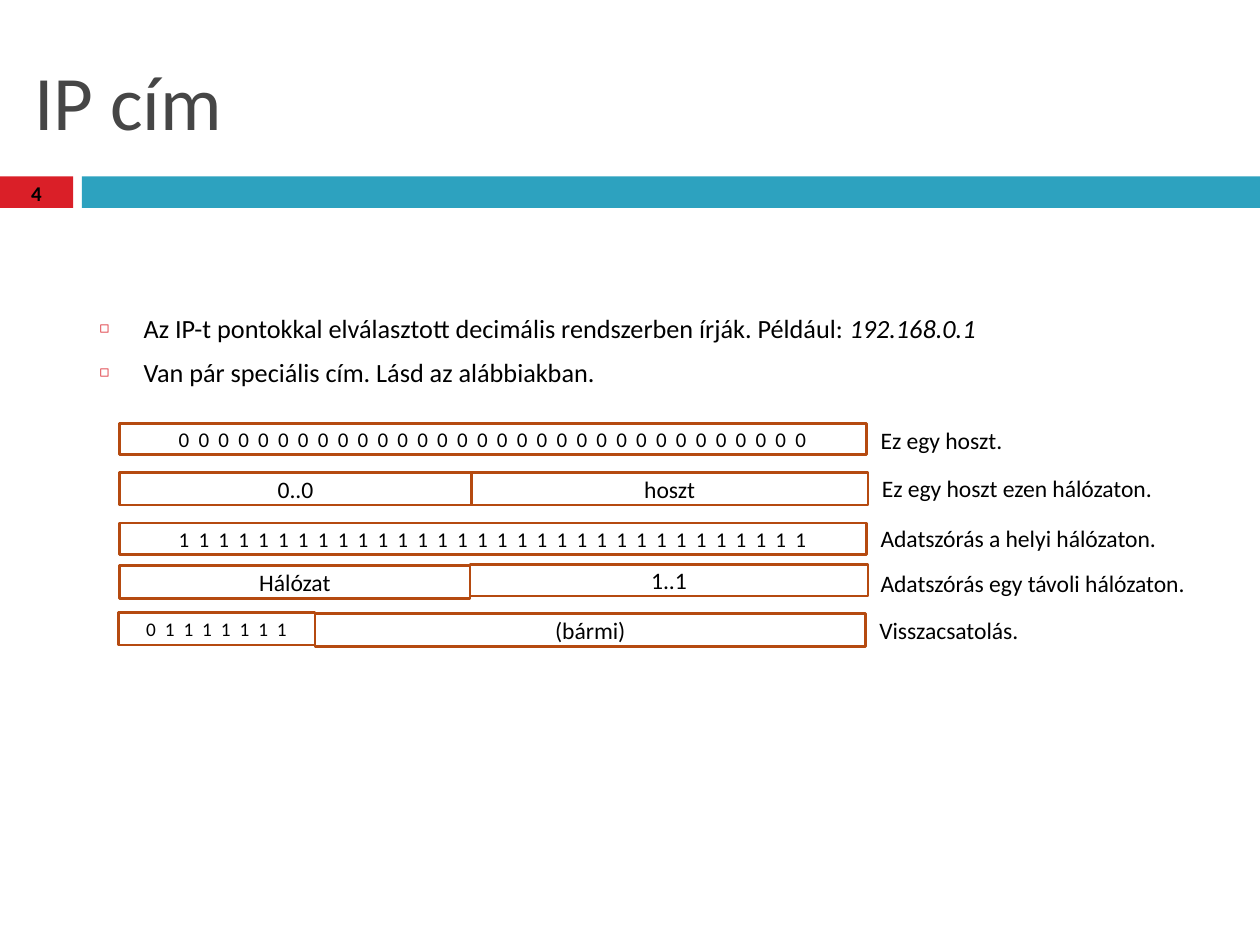
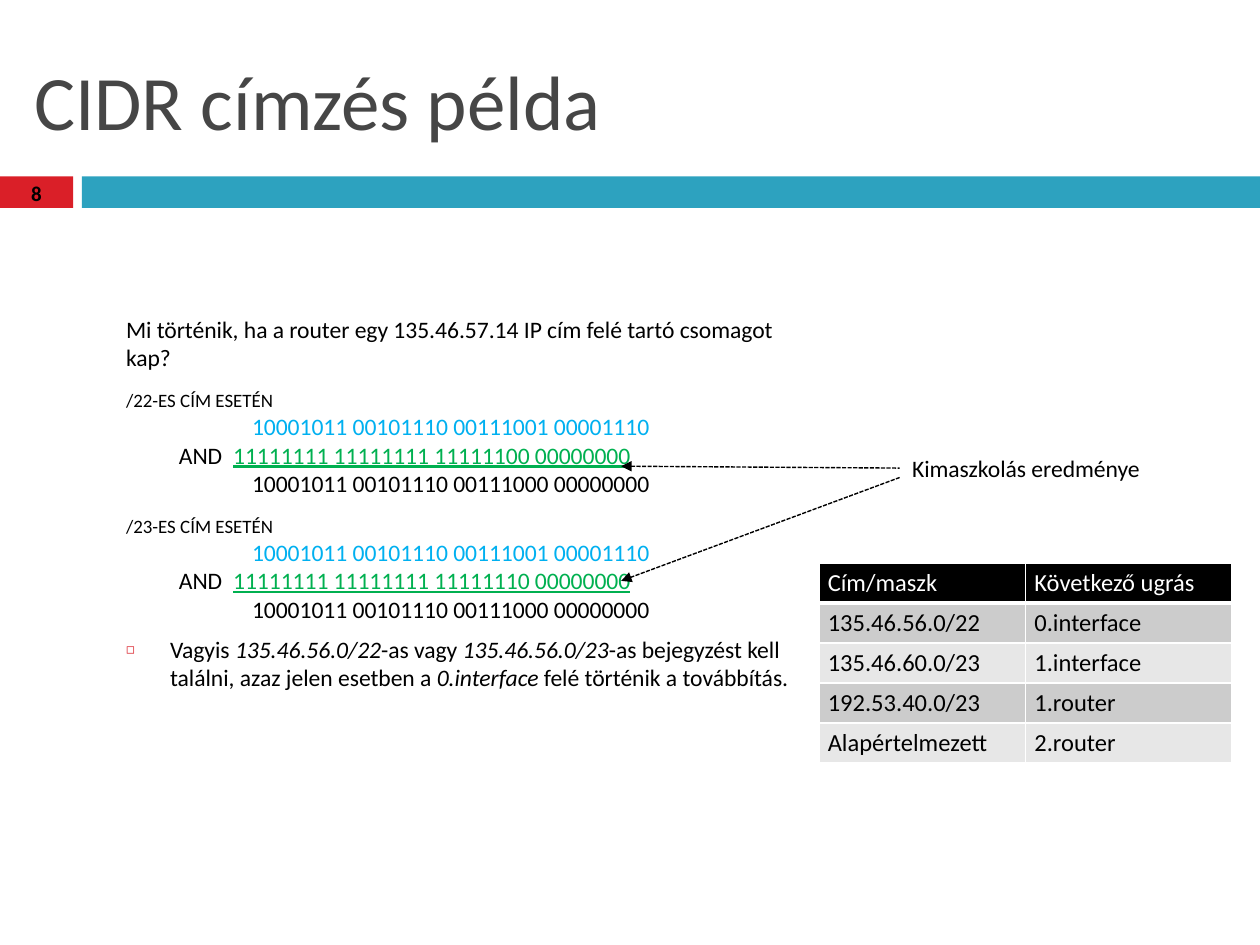
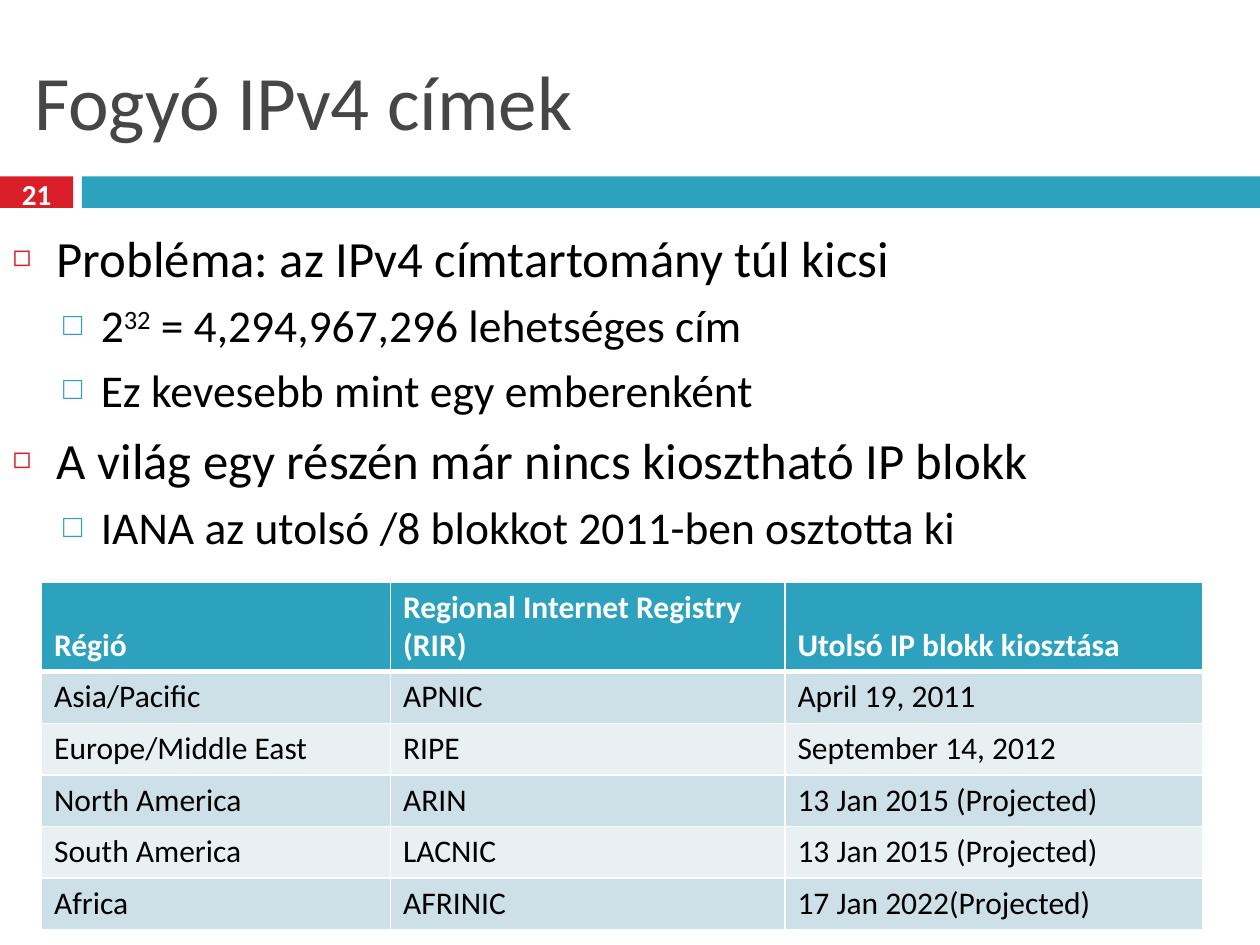
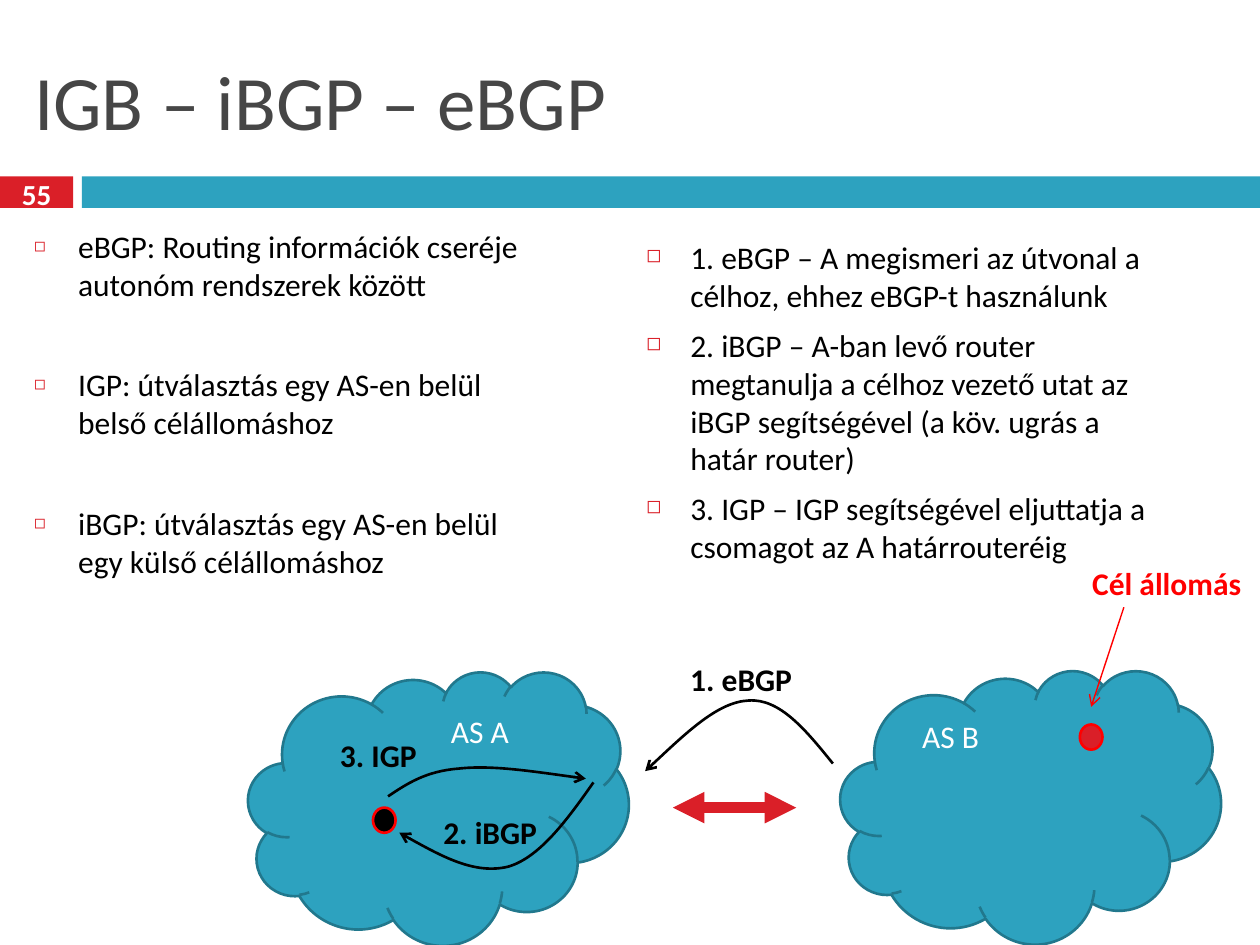
from dataclasses import dataclass
from typing import NamedTuple, Optional

from lxml import etree
from pptx import Presentation
from pptx import util as u
from pptx.dml.color import RGBColor
from pptx.enum import dml, shapes, text
from pptx.oxml.ns import qn

FONT = "Calibri"
COLORS = {
    "black": "000000", "white": "FFFFFF", "title": "464646",
    "red": "DA1F28", "teal": "2DA2BF", "teal_edge": "21788D",
    "rust": "B54A10", "signal": "FF0000", "sky": "00B0F0", "green": "00B050",
    "grey_dark": "CCCCCC", "grey_light": "E7E7E7",
    "blue_dark": "CDE0E8", "blue_light": "E8F0F4",
}
LABEL_SIZE = 13.5
LEFT, CENTER = text.PP_ALIGN.LEFT, text.PP_ALIGN.CENTER
TOP, MIDDLE, BOTTOM = (text.MSO_ANCHOR.TOP, text.MSO_ANCHOR.MIDDLE,
                       text.MSO_ANCHOR.BOTTOM)
SHAPE = shapes.MSO_SHAPE


class Area(NamedTuple):
    left: float
    top: float
    width: float
    height: float

    def lengths(self) -> list:
        return [u.Inches(value) for value in self]


class Bullet(NamedTuple):
    char: str
    color: str
    percent: int


class Span(NamedTuple):
    words: str
    size: float = 18
    color: str = "black"
    bold: bool = False
    italic: bool = False
    underline: bool = False
    extras: tuple = ()  # further run attributes as (name, value) pairs


@dataclass
class Line:
    spans: list
    before: float = 0
    left: float = 0
    indent: float = 0
    level: int = 0
    bullet: Optional[Bullet] = None
    align: int = LEFT


@dataclass
class Grid:
    area: Area
    columns: list
    row_heights: list
    rows: list
    size: float
    head_fill: str
    bands: tuple
    head_bold: bool = False
    head_anchor: int = TOP
    margins: tuple = (0.1, 0.05)


OUTER = Bullet("◻", "red", 60)
INNER = Bullet("□", "teal", 70)


def rgb(name: str) -> RGBColor:
    return RGBColor.from_string(COLORS[name])


# Text
def item(*spans: Span, before: float = 7) -> Line:
    return Line(list(spans), before, 0.35, -0.35, bullet=OUTER)


def subitem(*spans: Span) -> Line:
    return Line(list(spans), 5.5, 0.7, -0.3, level=1, bullet=INNER)


def add_bullet(props, bullet: Optional[Bullet]) -> None:
    if bullet is None:
        etree.SubElement(props, qn("a:buNone"))
        return
    color = etree.SubElement(props, qn("a:buClr"))
    etree.SubElement(color, qn("a:srgbClr"), val=COLORS[bullet.color])
    etree.SubElement(props, qn("a:buSzPct"), val=str(bullet.percent * 1000))
    etree.SubElement(props, qn("a:buChar"), char=bullet.char)


def write(frame, lines: list) -> None:
    for number, line in enumerate(lines):
        para = frame.paragraphs[0] if number == 0 else frame.add_paragraph()
        para.alignment = line.align
        para.level = line.level
        para.space_before = u.Pt(line.before)
        props = para._p.get_or_add_pPr()
        props.set("marL", str(u.Inches(line.left)))
        props.set("indent", str(u.Inches(line.indent)))
        add_bullet(props, line.bullet)
        for part in line.spans:
            span = para.add_run()
            span.text = part.words
            font = span.font
            font.name, font.size = FONT, u.Pt(part.size)
            font.bold, font.italic = part.bold, part.italic
            font.underline = part.underline
            font.color.rgb = rgb(part.color)
            for name, value in part.extras:
                span._r.get_or_add_rPr().set(name, value)


def set_frame(frame, anchor: int = TOP, wrap: bool = True,
              grow: bool = False) -> None:
    frame.word_wrap = wrap
    frame.vertical_anchor = anchor
    frame.auto_size = (text.MSO_AUTO_SIZE.SHAPE_TO_FIT_TEXT if grow
                       else text.MSO_AUTO_SIZE.NONE)


def add_text(page, area: Area, lines: list, anchor: int = TOP,
             wrap: bool = True, grow: bool = False):
    box = page.shapes.add_textbox(*area.lengths())
    set_frame(box.text_frame, anchor, wrap, grow)
    write(box.text_frame, lines)
    return box


def add_label(page, left: float, top: float, width: float, words: str):
    span = Span(words, LABEL_SIZE)
    return add_text(page, Area(left, top, width, 0.33), [Line([span])],
                    wrap=False, grow=True)


def fill_placeholder(holder, area: Area, lines: list, anchor: int) -> None:
    holder.left, holder.top, holder.width, holder.height = area.lengths()
    set_frame(holder.text_frame, anchor)
    write(holder.text_frame, lines)


# Shapes and lines
def add_shape(page, kind: int, area: Area, fill: Optional[str] = None,
              edge: Optional[str] = None):
    shape = page.shapes.add_shape(kind, *area.lengths())
    shape.shadow.inherit = False
    if fill:
        shape.fill.solid()
        shape.fill.fore_color.rgb = rgb(fill)
    else:
        shape.fill.background()
    if edge:
        shape.line.color.rgb = rgb(edge)
        shape.line.width = u.Pt(1.5)
    else:
        shape.line.fill.background()
    return shape


def add_ends(line, head: Optional[str], tail: Optional[str]) -> None:
    for tag, kind in (("a:headEnd", head), ("a:tailEnd", tail)):
        if kind:
            etree.SubElement(line._get_or_add_ln(), qn(tag), type=kind)


def add_line(page, start: tuple, end: tuple, color: str, width: float,
             head: Optional[str] = None, tail: Optional[str] = None,
             dashed: bool = False):
    points = [u.Inches(value) for value in start + end]
    line = page.shapes.add_connector(shapes.MSO_CONNECTOR.STRAIGHT, *points)
    line.line.color.rgb = rgb(color)
    line.line.width = u.Pt(width)
    if dashed:
        line.line.dash_style = dml.MSO_LINE.SQUARE_DOT
    add_ends(line.line, head, tail)
    etree.SubElement(line._element.spPr, qn("a:effectLst"))
    return line


def add_curve(page, points: list) -> None:
    """Draw cubic curves: a start, then two controls and an end for each."""
    start, *rest = [(u.Inches(x), u.Inches(y)) for x, y in points]
    builder = page.shapes.build_freeform(*start)
    builder.add_line_segments(rest, close=False)
    curve = builder.convert_to_shape()
    steps = list(curve._element.iter(qn("a:lnTo")))
    outline = steps[0].getparent()
    for first in range(0, len(steps), 3):
        bend = etree.SubElement(outline, qn("a:cubicBezTo"))
        for step in steps[first:first + 3]:
            bend.append(step[0])
            outline.remove(step)
    curve.shadow.inherit = False
    curve.fill.background()
    curve.line.color.rgb = rgb("black")
    curve.line.width = u.Pt(1.5)
    add_ends(curve.line, None, "arrow")


# Tables
def add_borders(cell, bottom: float) -> None:
    props = cell._tc.get_or_add_tcPr()
    widths = {"a:lnL": 1, "a:lnR": 1, "a:lnT": 1, "a:lnB": bottom}
    for place, (tag, width) in enumerate(widths.items()):
        edge = etree.Element(qn(tag), w=str(u.Pt(width)))
        paint = etree.SubElement(edge, qn("a:solidFill"))
        etree.SubElement(paint, qn("a:srgbClr"), val=COLORS["white"])
        props.insert(place, edge)


def add_grid(page, grid: Grid) -> None:
    frame = page.shapes.add_table(len(grid.rows), len(grid.columns),
                                  *grid.area.lengths())
    table = frame.table
    for column, width in zip(table.columns, grid.columns):
        column.width = u.Inches(width)
    for row, height in zip(table.rows, grid.row_heights):
        row.height = u.Inches(height)
    side, edge = (u.Inches(value) for value in grid.margins)
    for r, row in enumerate(grid.rows):
        head = r == 0
        for c, words in enumerate(row):
            cell = table.cell(r, c)
            cell.margin_left = cell.margin_right = side
            cell.margin_top = cell.margin_bottom = edge
            cell.vertical_anchor = grid.head_anchor if head else TOP
            cell.fill.solid()
            cell.fill.fore_color.rgb = rgb(
                grid.head_fill if head else grid.bands[(r - 1) % 2])
            add_borders(cell, 3 if head else 1)
            write(cell.text_frame, [Line([Span(
                words, grid.size, "white" if head else "black",
                head and grid.head_bold)])])


# Shared page parts
def add_bands(deck, layout) -> None:
    """Put the two bands on the layout, behind its placeholders."""
    page = deck.slides[0]
    bands = [add_shape(page, SHAPE.RECTANGLE, Area(0, 1.4, 0.58, 0.25), "red"),
             add_shape(page, SHAPE.RECTANGLE, Area(0.65, 1.4, 9.35, 0.25),
                       "teal")]
    for place, band in enumerate(bands, start=2):
        layout.shapes.element.insert(place, band._element)


def new_page(deck, title: str, number: str, body_area: Area, body: list,
             number_size: float = 16.6, number_color: str = "white"):
    page = deck.slides.add_slide(deck.slide_layouts[1])
    fill_placeholder(page.shapes.title, Area(0.17, 0.25, 9.67, 1.08),
                     [Line([Span(title, 44, "title")])], MIDDLE)
    fill_placeholder(page.placeholders[1], body_area, body, TOP)
    box = add_text(page, Area(0, 1.37, 0.58, 0.33),
                   [Line([Span(number, number_size, number_color, True)],
                         align=CENTER)], MIDDLE)
    frame = box.text_frame
    frame.margin_left = frame.margin_right = u.Inches(0.07)
    frame.margin_top = frame.margin_bottom = u.Inches(0.04)
    return page


# Special addresses
def bits(digits: str, size: float) -> Span:
    return Span(" ".join(digits), size, extras=(("spc", "130"),))


def add_address_page(deck) -> None:
    page = new_page(deck, "IP cím", "4", Area(0.69, 2.43, 8.62, 0.75), [
        item(Span("Az IP-t pontokkal elválasztott decimális rendszerben "
                  "írják. Például: ", 15),
             Span("192.168.0.1", 15, italic=True)),
        item(Span("Van pár speciális cím. Lásd az alábbiakban.", 15)),
    ], 12, "black")
    fields = [
        (Area(0.95, 3.36, 5.93, 0.25), bits("0" * 32, 12)),
        (Area(0.95, 3.75, 2.79, 0.26), Span("0..0", LABEL_SIZE)),
        (Area(3.74, 3.75, 3.15, 0.26), Span("hoszt", LABEL_SIZE)),
        (Area(0.95, 4.15, 5.93, 0.25), bits("1" * 32, 12)),
        (Area(0.95, 4.49, 2.78, 0.26), Span("Hálózat", LABEL_SIZE)),
        (Area(3.73, 4.48, 3.16, 0.25), Span("1..1", LABEL_SIZE)),
        (Area(0.94, 4.86, 1.56, 0.26), bits("01111111", 11)),
        (Area(2.5, 4.87, 4.37, 0.26), Span("(bármi)", LABEL_SIZE)),
    ]
    for area, span in fields:
        field = add_shape(page, SHAPE.RECTANGLE, area, edge="rust")
        set_frame(field.text_frame, MIDDLE)
        write(field.text_frame, [Line([span], align=CENTER)])
    meanings = [
        (6.89, 3.33, 1.18, "Ez egy hoszt."),
        (6.9, 3.71, 2.38, "Ez egy hoszt ezen hálózaton."),
        (6.89, 4.11, 2.45, "Adatszórás a helyi hálózaton."),
        (6.89, 4.47, 2.69, "Adatszórás egy távoli hálózaton."),
        (6.88, 4.84, 1.31, "Visszacsatolás."),
    ]
    for meaning in meanings:
        add_label(page, *meaning)


# Masking example
def masking(prefix: str, mask: str) -> list:
    size = LABEL_SIZE
    return [
        Line([Span(f"/{prefix}-es cím esetén", size,
                   extras=(("cap", "small"),))], before=7),
        Line([Span("10001011 00101110 00111001 00001110", size, "sky")],
             left=1),
        Line([Span("AND\t", size), Span(mask, size, "green", underline=True)],
             left=0.85, indent=-0.43),
        Line([Span("10001011 00101110 00111000 00000000", size)], left=1),
    ]


def add_cidr_page(deck) -> None:
    size = LABEL_SIZE
    page = new_page(deck, "CIDR címzés példa", "8", Area(0.9, 2.45, 5.5, 3.7), [
        Line([Span("Mi történik, ha a router egy 135.46.57.14 IP cím felé "
                   "tartó csomagot kap?", size)], before=7),
        *masking("22", "11111111 11111111 11111100 00000000"),
        *masking("23", "11111111 11111111 11111110 00000000"),
        item(Span("Vagyis ", size),
             Span("135.46.56.0/22", size, italic=True),
             Span("-as vagy ", size),
             Span("135.46.56.0/23", size, italic=True),
             Span("-as bejegyzést kell találni, azaz jelen esetben a ", size),
             Span("0.interface", size, italic=True),
             Span(" felé történik a továbbítás.", size)),
    ], 12, "black")
    add_grid(page, Grid(
        Area(6.5, 4.47, 3.28, 1.55), [1.64] * 2, [0.31] * 5,
        [("Cím/maszk", "Következő ugrás"),
         ("135.46.56.0/22", "0.interface"),
         ("135.46.60.0/23", "1.interface"),
         ("192.53.40.0/23", "1.router"),
         ("Alapértelmezett", "2.router")],
        14, "black", ("grey_dark", "grey_light"), margins=(0.07, 0.04)))
    result = add_label(page, 7.14, 3.55, 2.01, "Kimaszkolás eredménye")
    upper = add_line(page, (4.93, 3.7), (7.14, 3.71), "black", 0.79,
                     head="triangle", dashed=True)
    upper.end_connect(result, 1)
    add_line(page, (4.93, 4.61), (7.14, 3.79), "black", 0.79,
             head="triangle", dashed=True)


# Address shortage
def add_shortage_page(deck) -> None:
    page = new_page(deck, "Fogyó IPv4 címek", "21", Area(0, 1.75, 10, 2.83), [
        item(Span("Probléma: az IPv4 címtartomány túl kicsi", 29)),
        subitem(Span("2", 26), Span("32", 26, extras=(("baseline", "30000"),)),
                Span(" = 4,294,967,296 lehetséges cím", 26)),
        subitem(Span("Ez kevesebb mint egy emberenként", 26)),
        item(Span("A világ egy részén már nincs kiosztható IP blokk", 29)),
        subitem(Span("IANA az utolsó /8 blokkot 2011-ben osztotta ki", 26)),
    ])
    add_grid(page, Grid(
        Area(0.33, 4.62, 9.22, 2.74), [2.77, 3.13, 3.32],
        [0.69] + [0.41] * 5,
        [("Régió", "Regional Internet Registry (RIR)",
          "Utolsó IP blokk kiosztása"),
         ("Asia/Pacific", "APNIC", "April 19, 2011"),
         ("Europe/Middle East", "RIPE", "September 14, 2012"),
         ("North America", "ARIN", "13 Jan 2015 (Projected)"),
         ("South America", "LACNIC", "13 Jan 2015 (Projected)"),
         ("Africa", "AFRINIC", "17 Jan 2022(Projected)")],
        18, "teal", ("blue_dark", "blue_light"), head_bold=True,
        head_anchor=BOTTOM))


# Routing between two autonomous systems
def add_routing_page(deck) -> None:
    kinds = ["eBGP: Routing információk cseréje autonóm rendszerek között",
             "IGP: útválasztás egy AS-en belül belső célállomáshoz",
             "iBGP: útválasztás egy AS-en belül egy külső célállomáshoz"]
    steps = ["1. eBGP – A megismeri az útvonal a célhoz, ehhez eBGP-t "
             "használunk",
             "2. iBGP – A-ban levő router megtanulja a célhoz vezető utat az "
             "iBGP segítségével (a köv. ugrás a határ router)",
             "3. IGP – IGP segítségével eljuttatja a csomagot az A "
             "határrouteréig"]
    page = new_page(deck, "IGB – iBGP – eBGP", "55",
                    Area(0.17, 1.75, 4.25, 5.58),
                    [item(Span(words), before=36 if number else 7)
                     for number, words in enumerate(kinds)])
    add_text(page, Area(5.03, 1.84, 4.25, 5.58),
             [item(Span(words)) for words in steps])

    # Clouds and routers
    for left, top in ((6.67, 5.32), (1.97, 5.33)):
        add_shape(page, SHAPE.CLOUD, Area(left, top, 3.02, 2.17), "teal",
                  "teal_edge")
    for left, top, fill in ((2.96, 6.41, "black"), (8.57, 5.75, "red")):
        add_shape(page, SHAPE.OVAL, Area(left, top, 0.18, 0.2), fill, "signal")

    # Routes
    add_line(page, (5.34, 6.41), (6.32, 6.41), "red", 6, "triangle",
             "triangle")
    add_line(page, (8.92, 4.82), (8.66, 5.61), "signal", 0.79, tail="arrow")
    routes = [
        [(6.61, 6.06), (6.4, 5.8), (6.19, 5.54), (5.94, 5.56),
         (5.7, 5.57), (5.41, 5.85), (5.12, 6.12)],
        [(4.71, 6.21), (4.5, 6.51), (4.28, 6.81), (4.03, 6.88),
         (3.77, 6.94), (3.47, 6.78), (3.17, 6.61)],
        [(3.08, 6.32), (3.23, 6.22), (3.38, 6.12), (3.64, 6.1),
         (3.9, 6.07), (4.28, 6.13), (4.65, 6.18)],
    ]
    for route in routes:
        add_curve(page, route)

    # Names
    names = [
        (8.57, 4.43, 1.43, Span("Cél állomás", color="signal", bold=True)),
        (5.38, 5.19, 1.17, Span("1. eBGP", bold=True)),
        (3.42, 6.4, 1.23, Span("2. iBGP", bold=True)),
        (2.6, 5.79, 1.27, Span("3. IGP", bold=True)),
        (3.48, 5.6, 0.94, Span("AS A", color="white")),
        (7.22, 5.64, 0.94, Span("AS B", color="white")),
    ]
    for left, top, width, span in names:
        add_text(page, Area(left, top, width, 0.4), [Line([span])], grow=True)


def main() -> None:
    deck = Presentation()
    deck.slide_width, deck.slide_height = u.Inches(10), u.Inches(7.5)
    add_address_page(deck)
    add_cidr_page(deck)
    add_shortage_page(deck)
    add_routing_page(deck)
    add_bands(deck, deck.slide_layouts[1])
    deck.save("out.pptx")


if __name__ == "__main__":
    main()
